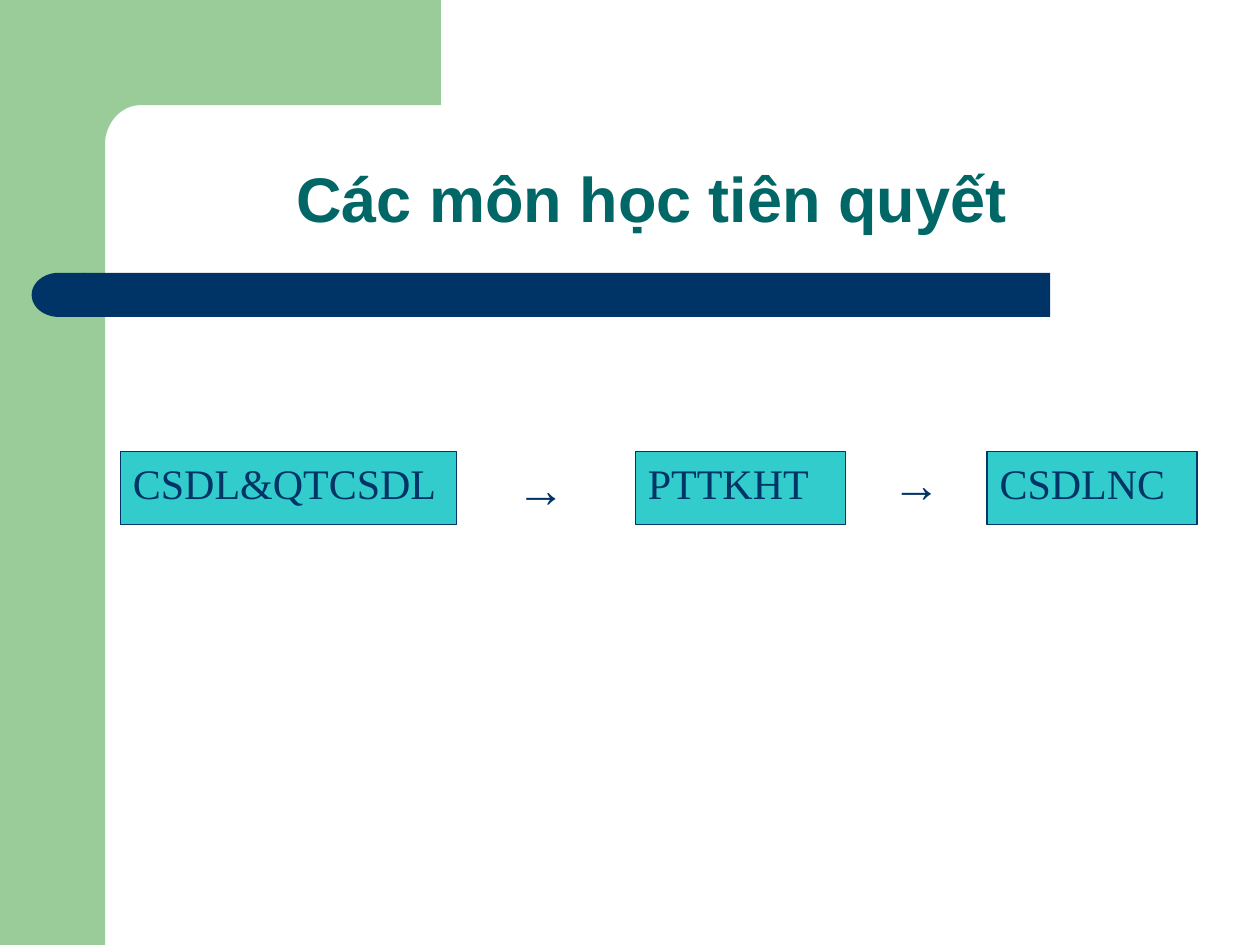
"""Build the slide of prerequisite courses, with its green and navy frame."""
import math

from pptx import Presentation
from pptx.dml.color import RGBColor
from pptx.enum import shapes, text
from pptx.util import Cm, Pt

GREEN, NAVY, TEAL, TURQUOISE = "99CC99", "003366", "006666", "33CCCC"


def paint(shape, fill, line=None):
    shape.shadow.inherit = False
    shape.fill.solid()
    shape.fill.fore_color.rgb = RGBColor.from_string(fill)
    if line:
        shape.line.color.rgb = RGBColor.from_string(line)
        shape.line.width = Pt(0.75)
    else:
        shape.line.fill.background()


def write(shape, words, font, size, color, anchor=text.MSO_ANCHOR.TOP, bold=False):
    frame = shape.text_frame
    frame.word_wrap = True
    frame.vertical_anchor = anchor
    paragraph = frame.paragraphs[0]
    paragraph.alignment = text.PP_ALIGN.LEFT
    run = paragraph.add_run()
    run.text = words
    run.font.name = font
    run.font.size = Pt(size)
    run.font.bold = bold
    run.font.color.rgb = RGBColor.from_string(color)
    return paragraph


presentation = Presentation()
presentation.slide_width = Cm(25.4)
presentation.slide_height = Cm(19.05)
slide = presentation.slides.add_slide(presentation.slide_layouts[5])
kinds = shapes.MSO_SHAPE

side_band = slide.shapes.add_shape(kinds.RECTANGLE, 0, 0, Cm(2.12), Cm(19.05))
paint(side_band, GREEN)

corner = [(8.89, 0), (8.89, 2.12)]
for step in range(13):
    angle = math.radians(90 * step / 12)
    corner.append((2.83 - 0.72 * math.sin(angle), 2.95 - 0.83 * math.cos(angle)))
corner += [(2.11, 3.25), (1.27, 3.25)]
builder = slide.shapes.build_freeform(Cm(1.27), 0)
builder.add_line_segments([(Cm(x), Cm(y)) for x, y in corner], close=True)
paint(builder.convert_to_shape(), GREEN)

bar = slide.shapes.add_shape(kinds.RECTANGLE, Cm(1.7), Cm(5.5), Cm(19.47), Cm(0.89))
paint(bar, NAVY)
bar_end = slide.shapes.add_shape(
    kinds.FLOWCHART_DELAY, Cm(0.64), Cm(5.5), Cm(1.09), Cm(0.89))
paint(bar_end, NAVY)
bar_end._element.spPr.xfrm.set("flipH", "1")

title = slide.shapes.title
title.left, title.top, title.width, title.height = Cm(5.72), Cm(2.12), Cm(15.06), Cm(2.77)
heading = write(title, "Các môn học tiên quyết", "Arial", 36, TEAL,
                text.MSO_ANCHOR.BOTTOM, True)
heading.line_spacing = 0.9

for course, left, width in [
    ("CSDL&QTCSDL", 2.43, 6.78),
    ("PTTKHT", 12.81, 4.23),
    ("CSDLNC", 19.9, 4.23),
]:
    box = slide.shapes.add_shape(kinds.RECTANGLE, Cm(left), Cm(9.1), Cm(width), Cm(1.48))
    paint(box, TURQUOISE, NAVY)
    write(box, course, "Times New Roman", 24, NAVY)

for left, top in [(10.16, 9.12), (17.73, 9.02)]:
    arrow = slide.shapes.add_textbox(Cm(left), Cm(top), Cm(1.7), Cm(1.68))
    write(arrow, "→", "Arial", 28, NAVY)

presentation.save("out.pptx")
